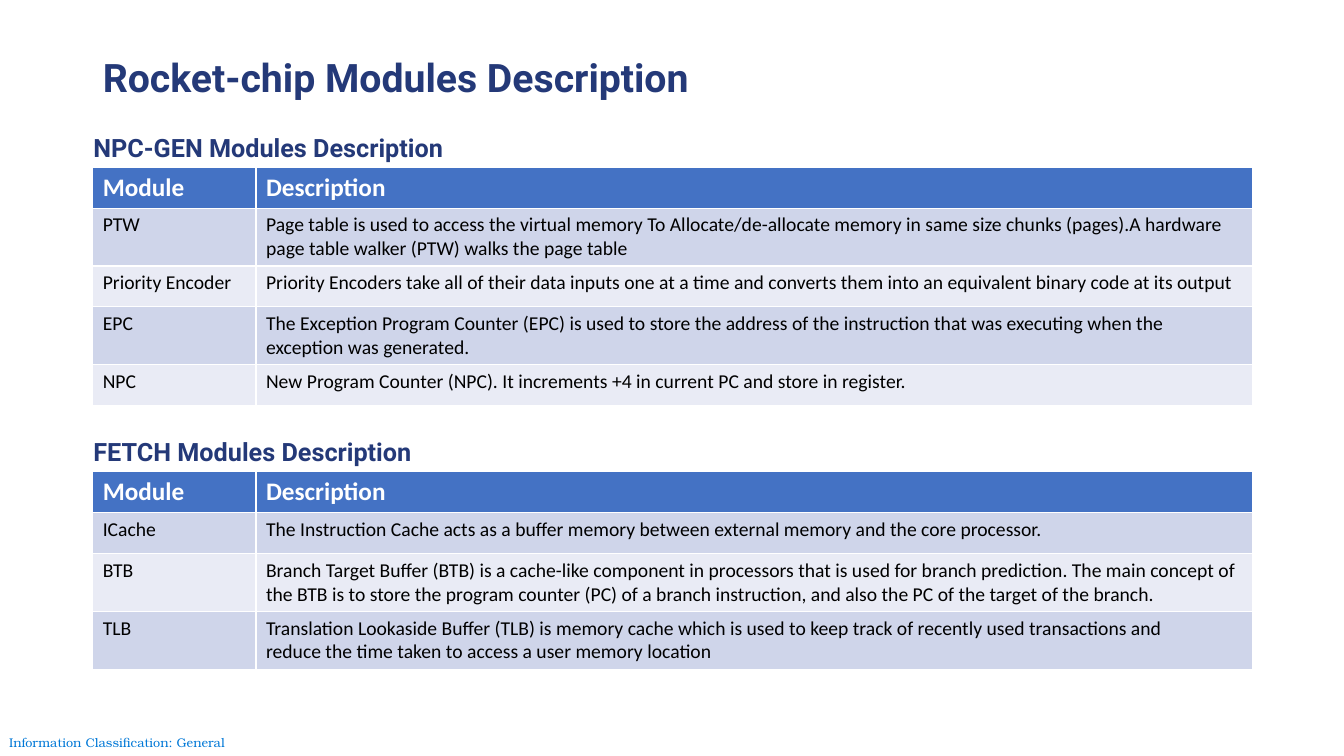
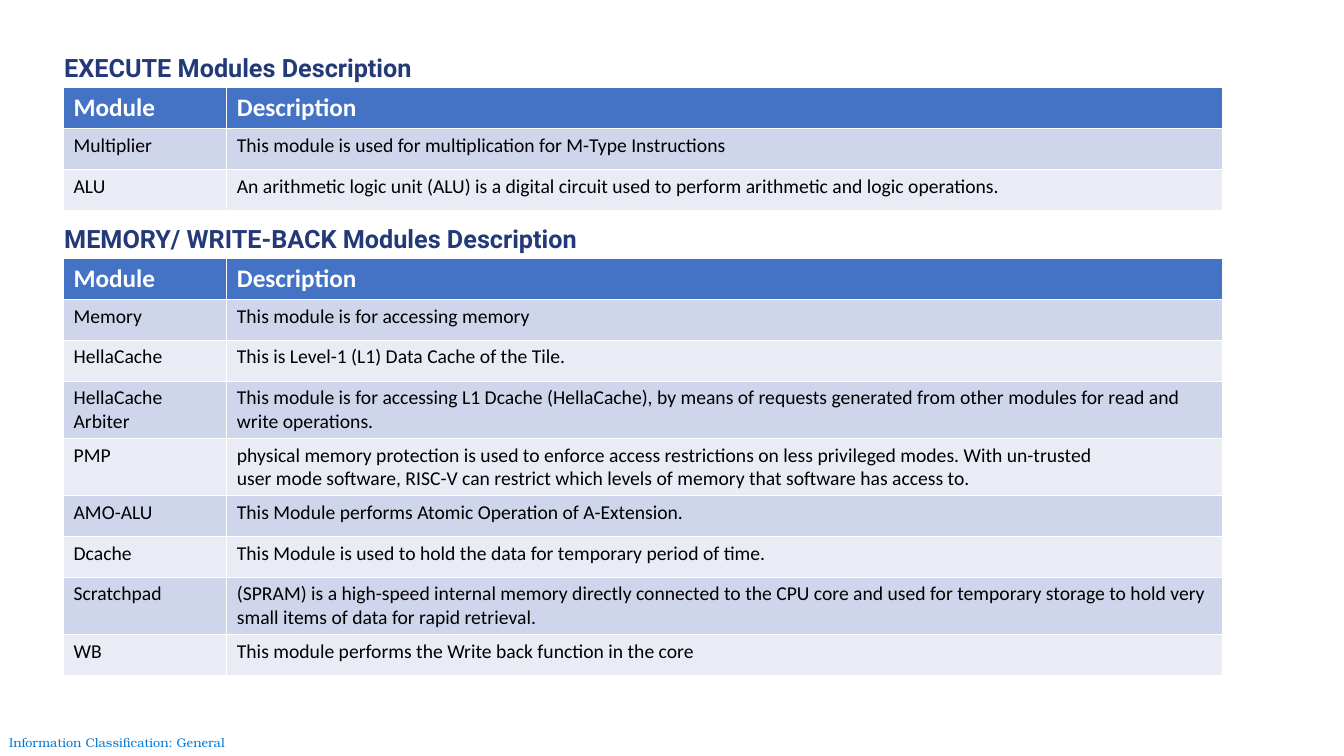
from pptx import Presentation
from pptx.dml.color import RGBColor
from pptx.enum.text import MSO_ANCHOR, MSO_AUTO_SIZE, PP_ALIGN
from pptx.util import Inches, Pt

NAVY = RGBColor(0x24, 0x39, 0x78)
BLUE = RGBColor(0x44, 0x72, 0xC4)
BAND_DARK = RGBColor(0xCF, 0xD5, 0xEA)
BAND_LIGHT = RGBColor(0xE9, 0xEB, 0xF5)
FOOTER_BLUE = RGBColor(0x00, 0x78, 0xD7)
WHITE = RGBColor(0xFF, 0xFF, 0xFF)
BLACK = RGBColor(0x00, 0x00, 0x00)

prs = Presentation()
prs.slide_width = Inches(13.33)
prs.slide_height = Inches(7.5)
COL = prs.slide_width / 100
ROW = prs.slide_height / 100
TABLE_W = 86.27
MODULE_W = 12.15
HEADING_H = 8.53
TABLE_ROW = Pt(29.2)


def style(tf, size, color, name="Calibri", bold=False):
    for p in tf.paragraphs:
        for r in p.runs:
            r.font.size = Pt(size)
            r.font.name = name
            r.font.bold = bold
            r.font.color.rgb = color


def place_heading(sp, text, left, top, size):
    sp.left, sp.top = int(left * COL), int(top * ROW)
    sp.width, sp.height = int(TABLE_W * COL), int(HEADING_H * ROW)
    tf = sp.text_frame
    tf.text = text
    tf.word_wrap = True
    tf.auto_size = MSO_AUTO_SIZE.NONE
    tf.vertical_anchor = MSO_ANCHOR.MIDDLE
    tf.paragraphs[0].alignment = PP_ALIGN.LEFT
    tf.paragraphs[0].line_spacing = 0.9
    style(tf, size, NAVY, "Roboto", True)


SLIDES = [
    ("Rocket-chip Modules Description", 6.9, [
        ("NPC-GEN Modules Description", 22.13, [
            ("PTW", "Page table is used to access the virtual memory To Allocate/de-allocate memory in same size chunks (pages).A hardware page table walker (PTW) walks the page table"),
            ("Priority Encoder", "Priority Encoders take all of their data inputs one at a time and converts them into an equivalent binary code at its output"),
            ("EPC", "The Exception Program Counter (EPC) is used to store the address of the instruction that was executing when the exception was generated."),
            ("NPC", "New Program Counter (NPC). It increments +4 in current PC and store in register."),
        ]),
        ("FETCH Modules Description", 62.4, [
            ("ICache", "The Instruction Cache acts as a buffer memory between external memory and the core processor."),
            ("BTB", "Branch Target Buffer (BTB) is a cache-like component in processors that is used for branch prediction. The main concept of the BTB is to store the program counter (PC) of a branch instruction, and also the PC of the target of the branch."),
            ("TLB", "Translation Lookaside Buffer (TLB) is memory cache which is used to keep track of recently used transactions and\nreduce the time taken to access a user memory location"),
        ]),
    ]),
    (None, 4.73, [
        ("EXECUTE Modules Description", 11.6, [
            ("Multiplier", "This module is used for multiplication for M-Type Instructions"),
            ("ALU", "An arithmetic logic unit (ALU) is a digital circuit used to perform arithmetic and logic operations."),
        ]),
        ("MEMORY/ WRITE-BACK Modules Description", 34.2, [
            ("Memory", "This module is for accessing memory"),
            ("HellaCache", "This is Level-1 (L1) Data Cache of the Tile."),
            ("HellaCache Arbiter", "This module is for accessing L1 Dcache (HellaCache), by means of requests generated from other modules for read and write operations."),
            ("PMP", "physical memory protection is used to enforce access restrictions on less privileged modes. With un-trusted\nuser mode software, RISC-V can restrict which levels of memory that software has access to."),
            ("AMO-ALU", "This Module performs Atomic Operation of A-Extension."),
            ("Dcache", "This Module is used to hold the data for temporary period of time."),
            ("Scratchpad", "(SPRAM) is a high-speed internal memory directly connected to the CPU core and used for temporary storage to hold very small items of data for rapid retrieval."),
            ("WB", "This module performs the Write back function in the core"),
        ]),
    ]),
]

for title, left, sections in SLIDES:
    s = prs.slides.add_slide(prs.slide_layouts[5 if title else 6])
    if title:
        place_heading(s.shapes.title, title, left, 6.27, 28)
    for heading, top, modules in sections:
        rows = [("Module", "Description")] + modules
        table = s.shapes.add_table(
            len(rows), 2, int(left * COL), int(top * ROW),
            int(TABLE_W * COL), TABLE_ROW * len(rows)).table
        table.columns[0].width = int(MODULE_W * COL)
        table.columns[1].width = int((TABLE_W - MODULE_W) * COL)
        for i, texts in enumerate(rows):
            table.rows[i].height = TABLE_ROW
            for j, text in enumerate(texts):
                cell = table.cell(i, j)
                cell.text_frame.text = text
                cell.fill.solid()
                if i == 0:
                    cell.fill.fore_color.rgb = BLUE
                    style(cell.text_frame, 18, WHITE, bold=True)
                else:
                    cell.fill.fore_color.rgb = BAND_DARK if i % 2 else BAND_LIGHT
                    style(cell.text_frame, 14, BLACK)
        place_heading(s.shapes.add_textbox(0, 0, 0, 0), heading, left - 0.69, top - 6.67, 18)

footer = s.shapes.add_textbox(0, int(96.53 * ROW), int(17.5 * COL), int(3.47 * ROW))
tf = footer.text_frame
tf.text = "Information Classification: General"
tf.word_wrap = False
tf.vertical_anchor = MSO_ANCHOR.MIDDLE
tf.margin_left = Inches(0.09)
tf.margin_top = tf.margin_right = tf.margin_bottom = 0
style(tf, 9, FOOTER_BLUE, "TeX Gyre Bonum")
prs.slide_master.element.cSld.spTree.append(footer.element)

prs.save("out.pptx")
